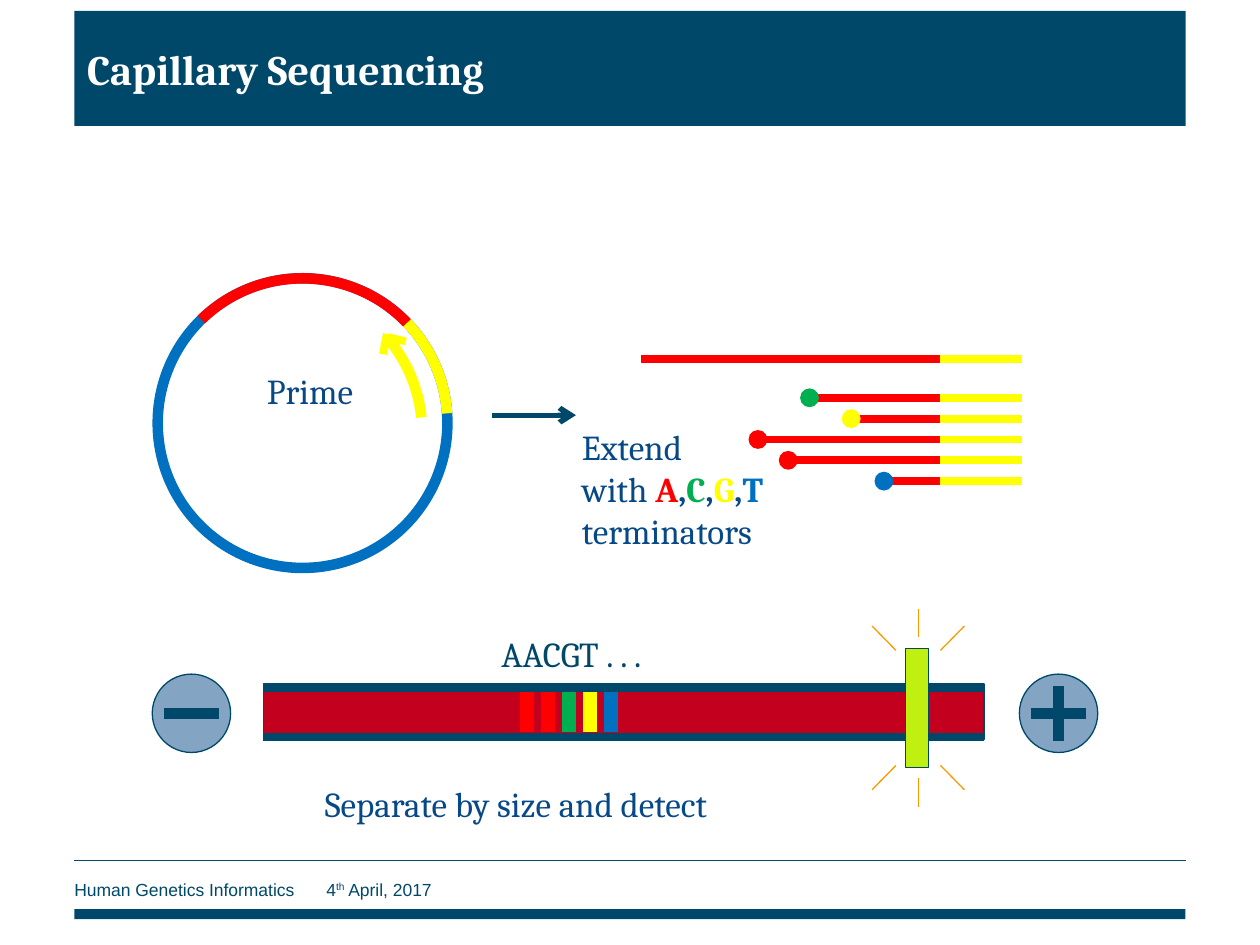
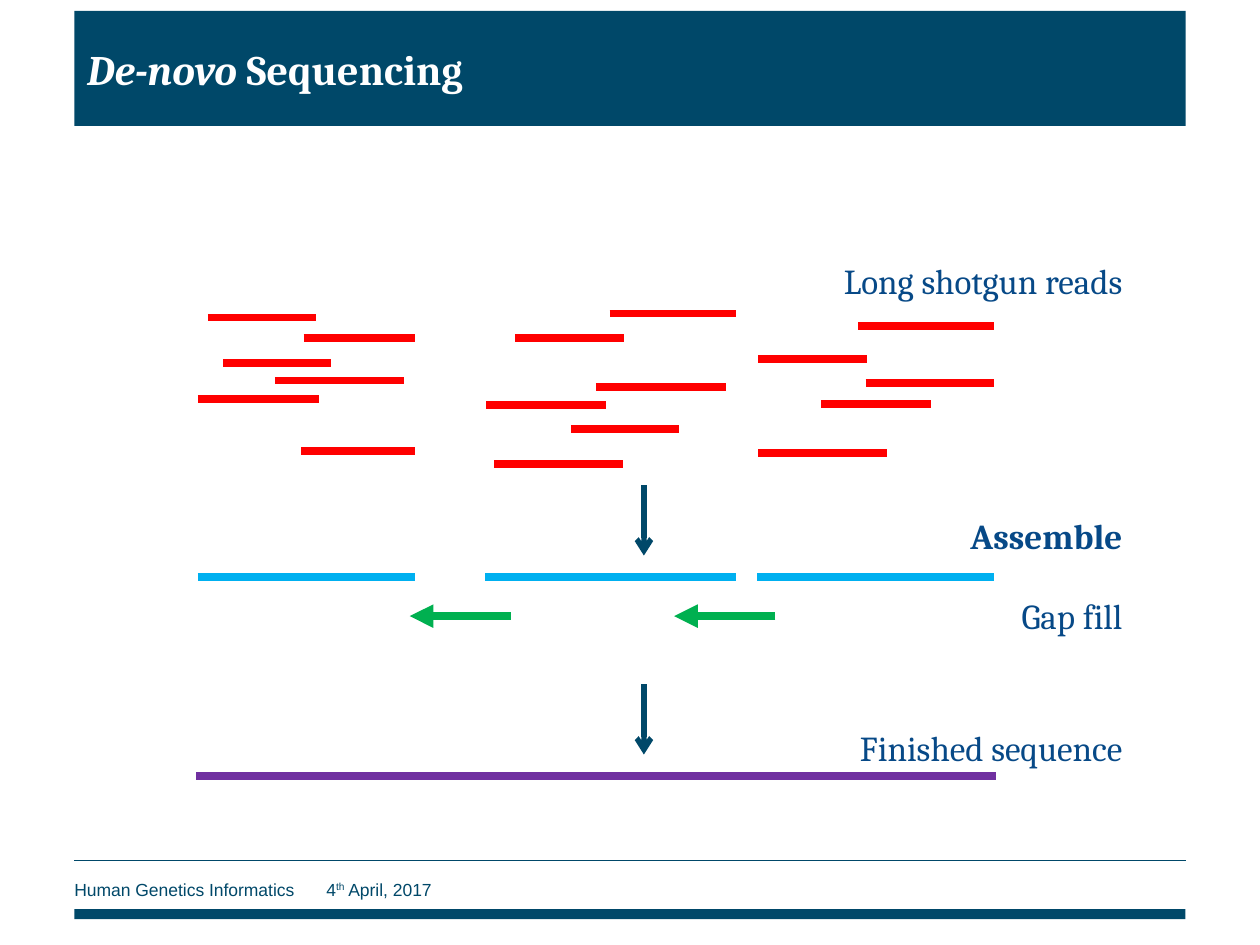
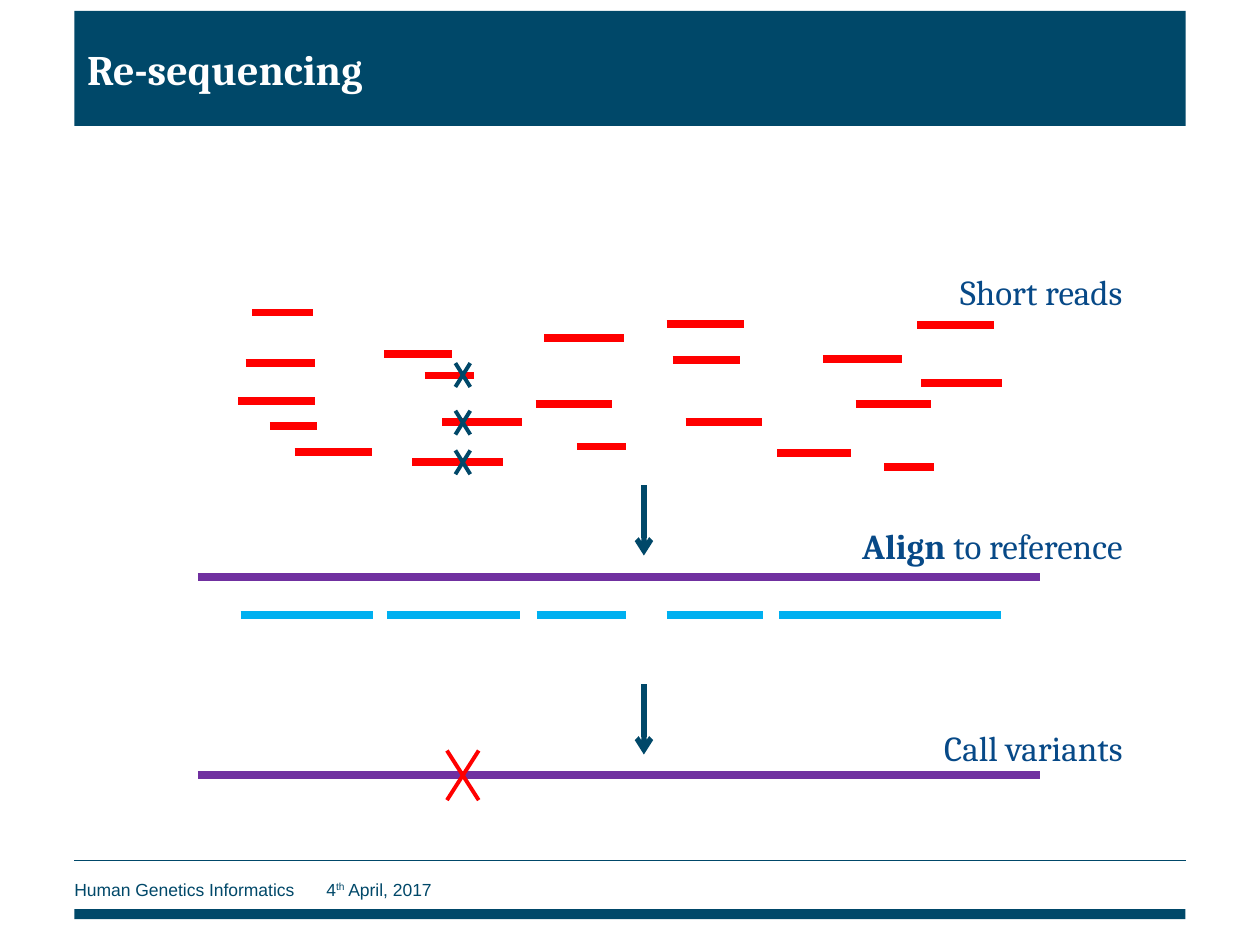
from pptx import Presentation
from pptx.dml.color import RGBColor
from pptx.enum.shapes import MSO_CONNECTOR as Link, MSO_SHAPE as Kind
from pptx.enum.text import MSO_ANCHOR as Anchor, MSO_AUTO_SIZE as Auto, PP_ALIGN as Align
from pptx.oxml.ns import qn
from pptx.util import Cm, Pt
from lxml import etree

HUE = {
    "navy": "004869", "text": "074987", "white": "FFFFFF", "red": "FF0000",
    "green": "00B050", "yellow": "FFFF00", "blue": "0070C0", "sky": "00B0F0",
    "purple": "7030A0", "tube": "C3001D", "steel": "83A4C3", "lime": "C0F010",
    "orange": "FF9900",
}
HEAD = {"name": "Cambria", "size": Pt(24), "bold": True, "color": "white"}
BODY = {"name": "Cambria", "size": Pt(20), "bold": False, "color": "text"}
FOOT = {"name": "Arial", "size": Pt(10), "color": "navy"}

# Shared edges and line weights
LEFT, WIDE = 1.5, 22.4
EDGE = 22.88
THICK, THIN = 4.5, 0.75


def rgb(hue):
    return RGBColor.from_string(HUE[hue])


# Basic elements
def write(para, runs, base):
    """Add runs to a paragraph; each run is (text, changes to the base format)."""
    for text, diff in runs:
        run = para.add_run()
        run.text = text
        for key, val in {**base, **diff}.items():
            if key == "color":
                run.font.color.rgb = rgb(val)
            elif key == "raised":
                run._r.get_or_add_rPr().set("baseline", val)
            else:
                setattr(run.font, key, val)


def label(slide, x, y, w, paras, base=BODY, align=Align.LEFT, h=1.12):
    box = slide.shapes.add_textbox(Cm(x), Cm(y), Cm(w), Cm(h))
    frame = box.text_frame
    frame.word_wrap = True
    for num, runs in enumerate(paras):
        para = frame.add_paragraph() if num else frame.paragraphs[0]
        para.alignment = align
        write(para, runs, base)
    return box


def note(slide, y, *runs):
    """Place a step label against the right edge."""
    label(slide, EDGE - 8, y, 8, [runs], align=Align.RIGHT)


def shape(slide, kind, x, y, w, h, fill=None, line=None, weight=THIN):
    item = slide.shapes.add_shape(kind, Cm(x), Cm(y), Cm(w), Cm(h))
    item.shadow.inherit = False
    if fill:
        item.fill.solid()
        item.fill.fore_color.rgb = rgb(fill)
    else:
        item.fill.background()
    if line:
        item.line.color.rgb = rgb(line)
        item.line.width = Pt(weight)
    else:
        item.line.fill.background()
    return item


def arc(slide, x, y, size, turn, start, stop, hue):
    item = shape(slide, Kind.ARC, x, y, size, size, line=hue, weight=6)
    item.rotation = turn
    item.adjustments[0] = start
    item.adjustments[1] = stop


def line(slide, x1, y1, x2, y2, hue, weight=THICK, tip=None):
    item = slide.shapes.add_connector(Link.STRAIGHT, Cm(x1), Cm(y1), Cm(x2), Cm(y2))
    item.line.color.rgb = rgb(hue)
    item.line.width = Pt(weight)
    props = item.element.spPr
    if tip:
        etree.SubElement(props.find(qn("a:ln")), qn("a:tailEnd"), type=tip)
    etree.SubElement(props, qn("a:effectLst"))
    return item


def bars(slide, hue, rows):
    """Draw level strands given as (start, end, height)."""
    for x1, x2, y in rows:
        line(slide, x1, y, x2, y, hue)


def cross(slide, x, y, dx, dy, hue):
    for sign in (1, -1):
        line(slide, x - sign * dx, y - dy, x + sign * dx, y + dy, hue, 2.25)


def steps(slide):
    """Draw the two downward arrows between the stages."""
    for y in (9.78, 13.79):
        line(slide, 12.98, y, 12.98, y + 1.42, "navy", 3, "arrow")


# Page frame
def footer(slide, layout):
    """Build the footer and move it onto the layout."""
    text = label(slide, LEFT, 17.58, 17.04, [[
        ("Human Genetics Informatics\t4", {}),
        ("th", {"raised": "30000"}),
        (" April, 2017", {}),
    ]], FOOT, h=0.69)
    text.text_frame.margin_left = 0
    text.text_frame.vertical_anchor = Anchor.MIDDLE
    parts = [
        shape(slide, Kind.RECTANGLE, LEFT, 18.33, WIDE, 0.2, "navy"),
        line(slide, LEFT, 17.35, LEFT + WIDE, 17.35, "navy", THIN),
        text,
    ]
    for num, part in enumerate(parts, 50):
        part.element.xpath(".//p:cNvPr")[0].set("id", str(num))
        layout.element.cSld.spTree.append(part.element)


def page(deck, layout, *runs):
    slide = deck.slides.add_slide(layout)
    title = slide.shapes.title
    place = {"left": LEFT, "top": 0.22, "width": WIDE, "height": 2.32}
    for key, val in place.items():
        setattr(title, key, Cm(val))
    title.fill.solid()
    title.fill.fore_color.rgb = rgb("navy")
    frame = title.text_frame
    frame.auto_size = Auto.NONE
    frame.vertical_anchor = Anchor.MIDDLE
    frame.paragraphs[0].alignment = Align.LEFT
    write(frame.paragraphs[0], runs, HEAD)
    return slide


# Capillary sequencing
def plasmid(slide):
    x, y, size = 3.18, 5.61, 5.84
    shape(slide, Kind.OVAL, x, y, size, size, line="blue", weight=6)
    arc(slide, x, y, size, 25.6, 173.58, 198.33, "yellow")
    arc(slide, x, y, size, 315.7, 162, 0.26, "red")
    arc(slide, 2.67, 5.79, size, 25.6, 175.92, 197.16, "yellow")
    line(slide, 7.8, 6.73, 7.72, 7.14, "yellow")
    line(slide, 7.87, 6.81, 8.18, 6.88, "yellow")
    label(slide, 5.13, 7.32, 3.99, [[("Prime", {})]])


def strands(slide):
    joint, end, size = 18.95, 20.6, 0.38
    bars(slide, "red", [(12.93, joint, 7.24)])
    bars(slide, "yellow", [(joint, end, 7.24)])
    dots = [(16.32, "green"), (17.16, "yellow"), (15.28, "red"),
            (15.89, "red"), (17.82, "blue")]
    for num, (x, hue) in enumerate(dots):
        y = 8.02 + 0.42 * num
        bars(slide, "red", [(x, joint, y)])
        bars(slide, "yellow", [(joint, end, y)])
        shape(slide, Kind.OVAL, x - size / 2, y - size / 2, size, size, hue)


def gel(slide):
    x, w = 5.31, 14.53
    shape(slide, Kind.RECTANGLE, x, 13.79, w, 1.12, "tube", "navy")
    bars(slide, "navy", [(x, x + w, y) for y in (13.87, 14.86)])
    for num, hue in enumerate(("red", "red", "green", "yellow", "blue")):
        mid = 10.62 + 0.425 * num
        line(slide, mid, 13.94, mid, 14.76, hue, 8)


def pole(slide, x, plus):
    y, size, arm = 14.38, 1.58, 0.55
    shape(slide, Kind.OVAL, x - size / 2, y - size / 2, size, size, "steel", "navy")
    line(slide, x - arm, y, x + arm, y, "navy", 6)
    if plus:
        line(slide, x, y - arm, x, y + arm, "navy", 6)


def lamp(slide):
    x, y = 18.51, 14.27
    shape(slide, Kind.RECTANGLE, 18.26, 13.08, 0.46, 2.39, "lime", "navy")
    rays = [(0.93, 1.65, 0.45, 1.16), (-0.93, 1.65, -0.45, 1.16), (0, 2, 0, 1.42)]
    for sign in (-1, 1):
        for x1, y1, x2, y2 in rays:
            line(slide, x + x1, y + sign * y1, x + x2, y + sign * y2, "orange", THIN)


def capillary(slide):
    plasmid(slide)
    line(slide, 9.91, 8.37, 11.61, 8.37, "navy", 3, "arrow")
    strands(slide)
    bases = [("with ", {})]
    for base, hue in zip("ACGT", ("red", "green", "yellow", "blue")):
        if base != "A":
            bases.append((",", {"bold": True}))
        bases.append((base, {"bold": True, "color": hue}))
    bases.append((" terminators", {}))
    label(slide, 11.48, 8.46, 6.05, [[("Extend", {})], bases], h=3.33)
    gel(slide)
    pole(slide, 3.86, False)
    pole(slide, 21.34, True)
    lamp(slide)
    label(slide, 9.86, 12.62, 4.67, [[("AACGT . . .", {"color": "navy"})]])
    label(slide, 6.3, 15.65, 10.67, [[("Separate by size and detect", {})]])


# De-novo sequencing
def novo(slide):
    bars(slide, "red", [
        (4.5, 6.68, 7.32), (3.99, 6.43, 8.05), (6.07, 8.36, 9.09),
        (6.12, 8.36, 6.81), (5.54, 8.15, 7.67), (4.19, 6.38, 6.4),
        (11.51, 13.69, 8.64), (9.8, 12.22, 8.17), (12.29, 14.83, 6.32),
        (9.96, 12.55, 9.36), (12.01, 14.63, 7.8), (10.39, 12.57, 6.81),
        (16.56, 18.77, 8.15), (17.3, 20.04, 6.57), (17.45, 20.04, 7.72),
        (15.29, 17.88, 9.14), (15.29, 17.48, 7.24),
    ])
    contigs = [(3.99, 8.36), (9.78, 14.83), (15.27, 20.04)]
    bars(slide, "sky", [(x1, x2, 11.63) for x1, x2 in contigs])
    for x in (8.26, 13.59):
        line(slide, x + 2.04, 12.42, x, 12.42, "green", tip="triangle")
    bars(slide, "purple", [(3.96, 20.07, 15.65)])
    steps(slide)
    note(slide, 5.11, ("Long shotgun reads", {}))
    note(slide, 10.24, ("Assemble", {"bold": True}))
    note(slide, 11.86, ("Gap fill", {}))
    note(slide, 14.53, ("Finished sequence", {}))


# Re-sequencing
def again(slide):
    bars(slide, "red", [
        (4.95, 6.35, 7.32), (4.8, 6.35, 8.08), (5.94, 7.49, 9.12),
        (7.75, 9.12, 7.14), (8.56, 9.55, 7.57), (5.44, 6.4, 8.59),
        (5.08, 6.3, 6.3), (8.92, 10.52, 8.51), (10.8, 12.34, 8.15),
        (13.44, 14.99, 6.53), (8.31, 10.13, 9.32), (13.56, 14.91, 7.25),
        (11.63, 12.62, 9), (10.97, 12.57, 6.82), (17.25, 18.77, 8.15),
        (13.82, 15.37, 8.51), (18.49, 20.04, 6.55), (18.57, 20.19, 7.72),
        (15.67, 17.15, 9.14), (17.83, 18.82, 9.42), (16.59, 18.19, 7.24),
    ])
    bars(slide, "purple", [(3.99, 20.96, y) for y in (11.63, 15.62)])
    spans = [(4.85, 7.52), (7.8, 10.49), (10.82, 12.62), (13.44, 15.39), (15.7, 20.17)]
    bars(slide, "sky", [(x1, x2, 12.4) for x1, x2 in spans])
    steps(slide)
    note(slide, 5.33, ("Short reads", {}))
    note(slide, 10.44, ("Align ", {"bold": True}), ("to reference", {}))
    note(slide, 14.53, ("Call variants", {}))
    cross(slide, 9.33, 15.63, 0.32, 0.5, "red")
    for y in (7.56, 8.52, 9.32):
        cross(slide, 9.33, y, 0.15, 0.24, "navy")


def main():
    deck = Presentation()
    deck.slide_width, deck.slide_height = Cm(25.4), Cm(19.05)
    layout = deck.slide_layouts[5]
    first = page(deck, layout, ("Capillary Sequencing", {}))
    footer(first, layout)
    capillary(first)
    novo(page(deck, layout, ("De-novo", {"italic": True}), (" Sequencing", {})))
    again(page(deck, layout, ("Re-sequencing", {})))
    deck.save("out.pptx")


if __name__ == "__main__":
    main()
